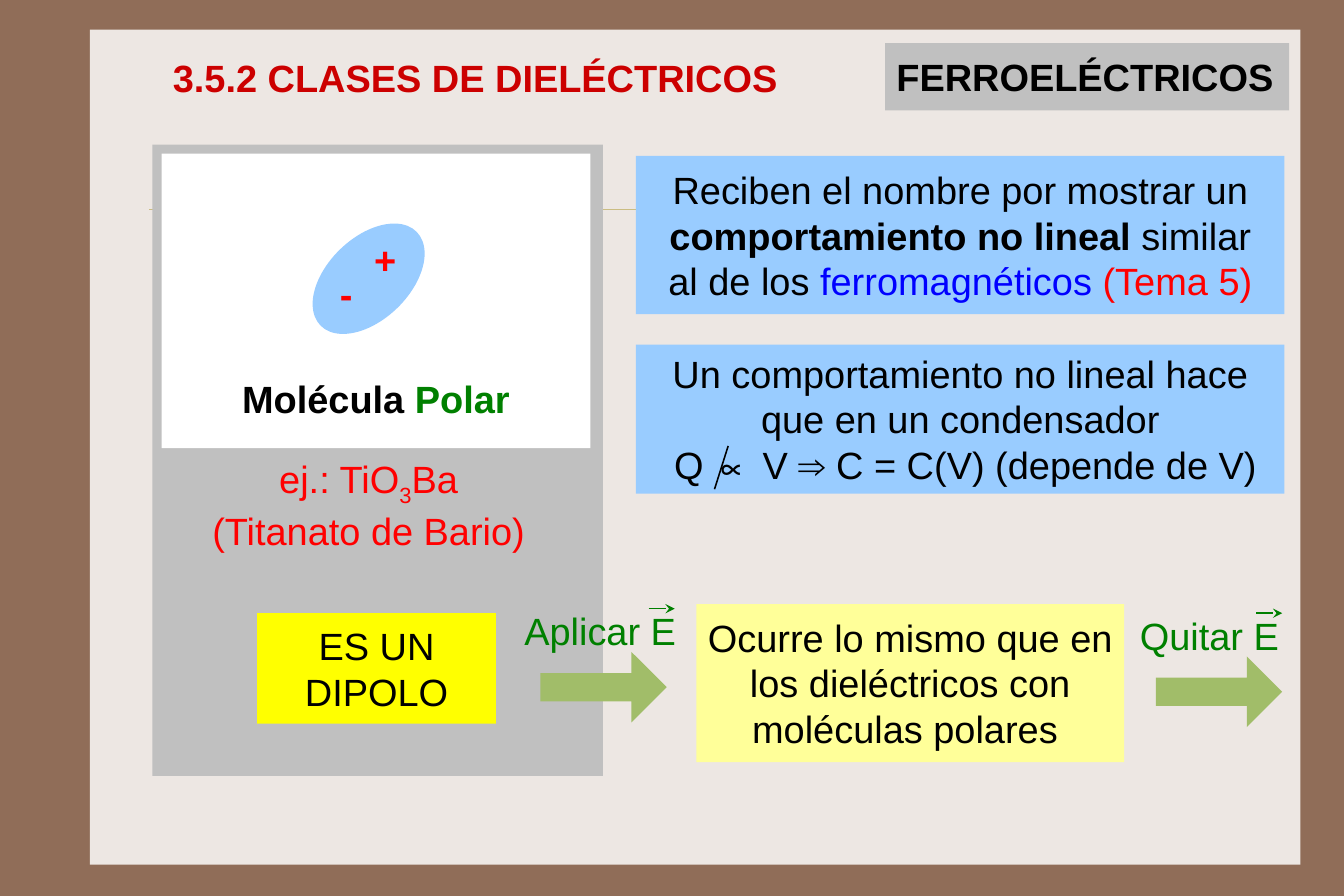
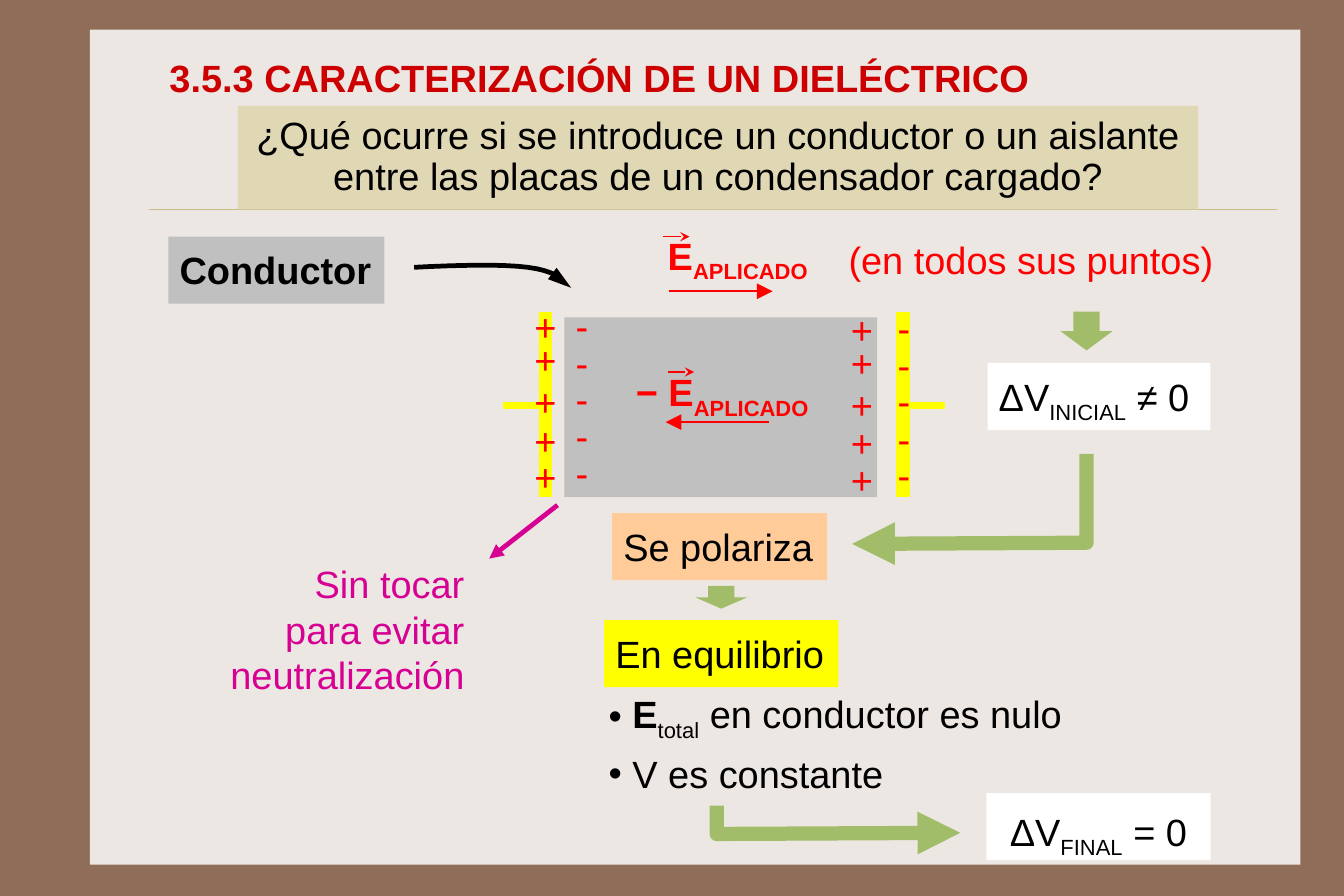
from lxml import etree
from pptx import Presentation
from pptx.dml.color import RGBColor
from pptx.enum.shapes import MSO_CONNECTOR, MSO_SHAPE
from pptx.enum.text import MSO_ANCHOR, PP_ALIGN
from pptx.oxml.ns import qn
from pptx.util import Inches, Pt

PX = 9144  # 100 px to the inch
FONT = "Arial"
RECT, OVAL = MSO_SHAPE.RECTANGLE, MSO_SHAPE.OVAL
RIGHT_ARROW, DOWN_ARROW = MSO_SHAPE.RIGHT_ARROW, MSO_SHAPE.DOWN_ARROW
LEFT, CENTER, RIGHT = PP_ALIGN.LEFT, PP_ALIGN.CENTER, PP_ALIGN.RIGHT
TOP, MIDDLE = MSO_ANCHOR.TOP, MSO_ANCHOR.MIDDLE

BROWN, PANEL, RULE, SAND = "906D58", "EDE7E3", "CBBD83", "E0D7B5"
BLACK, WHITE, GRAY, BLUE = "000000", "FFFFFF", "C0C0C0", "99CCFF"
RED, TITLE_RED, GREEN, ARROW = "FF0000", "CC0000", "008000", "A1BD69"
YELLOW, PALE, PEACH, MAGENTA = "FFFF00", "FFFF99", "FFCC99", "D60093"
SUB = {"sub": True}


def box(s, x, y, w, h, *paras, shape=RECT, fill=None, line=None, color=BLACK,
        bold=False, align=LEFT, anchor=TOP, inset=(10, 9), wrap=True,
        spacing=None, before=0, bullet=False):
    """Each paragraph is a string or a list of runs: text or (text, format)."""
    sp = s.shapes.add_shape(shape, x * PX, y * PX, w * PX, h * PX)
    sp.shadow.inherit = False
    for part, value in ((sp.fill, fill), (sp.line.fill, line)):
        if value:
            part.solid()
            part.fore_color.rgb = RGBColor.from_string(value)
        else:
            part.background()
    tf = sp.text_frame
    tf.word_wrap = wrap
    tf.vertical_anchor = anchor
    tf.margin_left = tf.margin_right = inset[0] * PX
    tf.margin_top = tf.margin_bottom = inset[1] * PX
    for i, para in enumerate(paras):
        p = tf.paragraphs[0] if i == 0 else tf.add_paragraph()
        p.alignment = align
        if spacing:
            p.line_spacing = spacing
        if i and before:
            p.space_before = Pt(before)
        if bullet:
            pPr = p._p.get_or_add_pPr()
            pPr.set("marL", str(21 * PX))
            pPr.set("indent", str(-21 * PX))
            etree.SubElement(pPr, qn("a:buFont")).set("typeface", FONT)
            etree.SubElement(pPr, qn("a:buChar")).set("char", "•")
        for run in [para] if isinstance(para, str) else para:
            text, fmt = (run, {}) if isinstance(run, str) else run
            r = p.add_run()
            r.text = text
            r.font.name, r.font.size = FONT, Pt(24)
            r.font.bold = fmt.get("bold", bold)
            r.font.color.rgb = RGBColor.from_string(fmt.get("color", color))
            if fmt.get("sub"):
                r._r.get_or_add_rPr().set("baseline", "-25000")
    return sp


def line(s, pts, color, width, head=None, tail=None, size=("med", "med")):
    """Two points make a connector, more make an open outline."""
    pts = [(round(x * PX), round(y * PX)) for x, y in pts]
    if len(pts) == 2:
        sp = s.shapes.add_connector(MSO_CONNECTOR.STRAIGHT, *pts[0], *pts[1])
    else:
        fb = s.shapes.build_freeform(*pts[0], scale=1.0)
        fb.add_line_segments(pts[1:], close=False)
        sp = fb.convert_to_shape()
        sp.fill.background()
    sp.line.color.rgb = RGBColor.from_string(color)
    sp.line.width = Pt(width)
    ln = sp.line._get_or_add_ln()
    for tag, kind in (("a:headEnd", head), ("a:tailEnd", tail)):
        if kind:
            end = etree.SubElement(ln, qn(tag))
            end.set("type", kind)
            end.set("w", size[0])
            end.set("len", size[1])
    etree.SubElement(sp._element.spPr, qn("a:effectLst"))


prs = Presentation()
prs.slide_width, prs.slide_height = Inches(945 / 80), Inches(630 / 80)
bg = prs.slide_master.background.fill
bg.solid()
bg.fore_color.rgb = RGBColor.from_string(BROWN)

# Shared panel, rule and title
slides = []
for title, x in (("3.5.2 CLASES DE DIELÉCTRICOS", 141),
                 ("3.5.3 CARACTERIZACIÓN DE UN DIELÉCTRICO", 138)):
    s = prs.slides.add_slide(prs.slide_layouts[6])
    box(s, 79, 26, 1064, 734, fill=PANEL)
    line(s, [(131, 184), (1122, 184)], RULE, 0.25)
    box(s, x, 42, 946, 51, title, color=TITLE_RED, bold=True, anchor=MIDDLE,
        inset=(11, 5))
    slides.append(s)

# Slide 1: ferroelectrics
s = slides[0]
box(s, 778, 38, 355, 59, "FERROELÉCTRICOS", fill=GRAY, bold=True, wrap=False)

# Polar molecule
box(s, 134, 127, 396, 555, fill=GRAY)
box(s, 142, 135, 377, 259, fill=WHITE)
box(s, 203, 321, 257, 59, ["Molécula", (" Polar", {"color": GREEN})],
    bold=True, wrap=False)
box(s, 265, 209, 118, 72, shape=OVAL, fill=BLUE).rotation = 315.9
for sign, x, y, w in (("+", 319, 199, 52), ("-", 289, 229, 43)):
    box(s, x, y, w, 53, sign, color=RED, bold=True, wrap=False)
box(s, 173, 395, 302, 97, ["ej.: TiO", ("3", SUB), "Ba"], "(Titanato de Bario)",
    color=RED, align=CENTER, anchor=MIDDLE, inset=(12, 8), wrap=False)
box(s, 226, 539, 210, 97, "ES UN DIPOLO", fill=YELLOW, align=CENTER,
    anchor=MIDDLE, inset=(12, 8))

# Explanations
box(s, 559, 137, 570, 139, "Reciben el nombre por mostrar un",
    [("comportamiento no lineal", {"bold": True}), " similar"],
    ["al de los ", ("ferromagnéticos ", {"color": "0000FF"}),
     ("(Tema 5)", {"color": RED})],
    fill=BLUE, align=CENTER, anchor=MIDDLE, inset=(12, 8))
box(s, 559, 303, 570, 131,
    "Un comportamiento no lineal hace que en un condensador",
    " Q ∝ V ⇒ C = C(V) (depende de V)",
    fill=BLUE, align=CENTER, inset=(10, 5))
line(s, [(640, 392), (628, 430)], BLACK, 1)
box(s, 612, 531, 376, 139,
    "Ocurre lo mismo que en los dieléctricos con moléculas polares ",
    fill=PALE, align=CENTER)

# Applying and removing the field
for label, x, y, w, vec in (("Aplicar E", 451, 525, 155, 570),
                            ("Quitar E", 992, 529, 143, 1104)):
    sp = box(s, x + 24, y + 48, 111, 62, shape=RIGHT_ARROW, fill=ARROW)
    sp.adjustments[0], sp.adjustments[1] = 0.4, 0.5
    box(s, x, y, w, 59, label, color=GREEN, wrap=False)
    line(s, [(vec, y + 10), (vec + 23, y + 10)], GREEN, 1, tail="stealth")

# Slide 2: conductor between charged plates
s = slides[1]
box(s, 209, 93, 844, 91, "¿Qué ocurre si se introduce un conductor o un aislante "
    "entre las placas de un condensador cargado?",
    fill=SAND, align=CENTER, spacing=Pt(26))
box(s, 148, 208, 190, 59, "Conductor", fill=GRAY, bold=True, wrap=False)

# Curved arrow from the label to the conductor
curve = [(364, 235)]
for a, b, c, d in (((364, 235), (402, 233), (441, 232), (464, 235)),
                   ((464, 235), (487, 238), (495, 245), (502, 253))):
    for t in (i / 8 for i in range(1, 9)):
        u = 1 - t
        curve.append([u**3 * a[k] + 3 * u * u * t * b[k] + 3 * u * t * t * c[k]
                      + t**3 * d[k] for k in (0, 1)])
line(s, curve, BLACK, 3, tail="triangle", size=("med", "lg"))

# Plates with their leads, and the conductor
for plate, lead in ((474, 443), (788, 792)):
    box(s, plate, 275, 11, 161, fill=YELLOW, line=YELLOW)
    box(s, lead, 354, 38, 5, fill=YELLOW, line=YELLOW)
box(s, 496, 279, 275, 158, fill=GRAY)

# Charges
offsets = {"+": (0, 29, 66, 100, 132), "-": (0, 32, 64, 97, 129)}
for sign, x, top in (("+", 460, 258), ("-", 492, 257),
                     ("+", 738, 260), ("-", 775, 259)):
    for dy in offsets[sign]:
        box(s, x, top + dy, 39, 58, sign, color=RED, align=CENTER, wrap=False)

# Applied and opposing fields
for text, x, y, w, vec, y_vec, shaft, y_shaft, ends in (
        ("E", 577, 195, 159, 583, 208, 588, 256, {"tail": "triangle"}),
        ("− E", 549, 315, 156, 587, 327, 585, 371, {"head": "triangle"})):
    box(s, x, y, w, 59, [text, ("APLICADO", SUB)], color=RED, bold=True,
        wrap=False)
    line(s, [(vec, y_vec), (vec + 23, y_vec)], RED, 1, tail="stealth")
    line(s, [(shaft, y_shaft), (shaft + 91, y_shaft)], RED, 1,
         size=("lg", "lg"), **ends)
box(s, 736, 203, 346, 50, "(en todos sus puntos)", color=RED, inset=(10, 5))

# Warning
box(s, 183, 488, 235, 131, "Sin tocar", "para evitar neutralización",
    color=MAGENTA, align=RIGHT, inset=(10, 5))
line(s, [(490, 444), (430, 491)], MAGENTA, 3, tail="triangle")

# Sequence of steps
box(s, 868, 319, 196, 59, ["ΔV", ("INICIAL", SUB), " ≠ 0"], fill=WHITE, wrap=False)
box(s, 538, 451, 189, 59, "Se polariza", fill=PEACH, wrap=False)
box(s, 531, 545, 206, 59, "En equilibrio", fill=YELLOW, wrap=False)
box(s, 525, 598, 432, 110,
    [("E", {"bold": True}), ("total", SUB), " en conductor es nulo"],
    "V es constante", bullet=True, before=5)
box(s, 867, 697, 197, 59, ["ΔV", ("FINAL", SUB), " = 0"], fill=WHITE,
    align=CENTER, spacing=1.1)
for x, y, h in ((932, 274, 34), (611, 515, 20)):
    box(s, x, y, 46, h, shape=DOWN_ARROW, fill=ARROW)
for pts in ([(955, 399), (955, 477), (749, 478)],
            [(630, 708), (630, 733), (844, 732)]):
    line(s, pts, ARROW, 9, tail="triangle")

prs.save("out.pptx")
